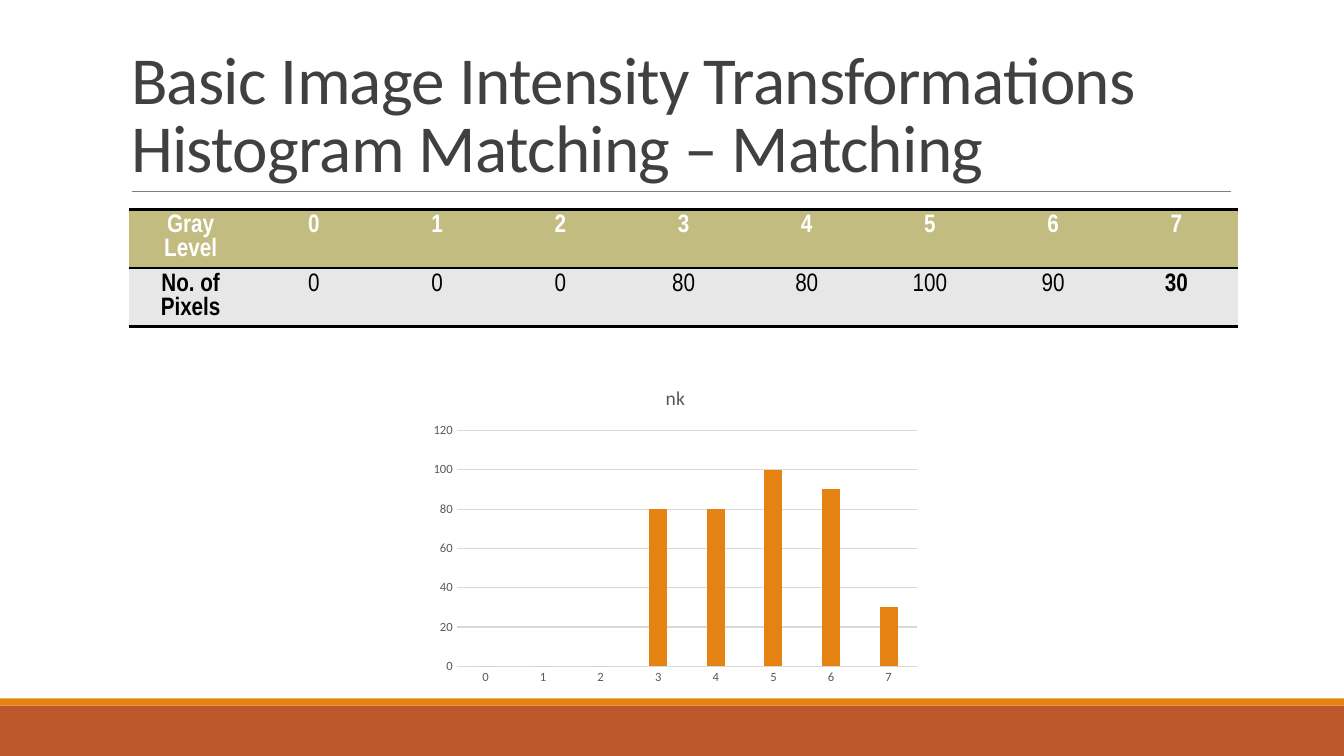
from lxml import etree
from pptx import Presentation
from pptx.chart.data import CategoryChartData
from pptx.dml.color import RGBColor
from pptx.enum.chart import XL_CHART_TYPE, XL_TICK_MARK
from pptx.enum.shapes import MSO_CONNECTOR, MSO_SHAPE
from pptx.enum.text import MSO_ANCHOR, MSO_AUTO_SIZE, PP_ALIGN
from pptx.oxml import parse_xml
from pptx.oxml.ns import nsdecls, qn
from pptx.util import Inches, Pt

COLUMN = XL_CHART_TYPE.COLUMN_CLUSTERED
NO_TICK = XL_TICK_MARK.NONE
LEFT, CENTER = PP_ALIGN.LEFT, PP_ALIGN.CENTER

TITLE = ["Basic Image Intensity Transformations",
         "Histogram Matching – Matching"]
LEVELS = list(range(8))
PIXELS = [0, 0, 0, 80, 80, 100, 90, 30]
ROWS = [["Gray Level"] + LEVELS, ["No. of Pixels"] + PIXELS]
BOLD = [range(9), (0, 8)]

COLORS = {"rust": "BD582C", "orange": "E48312", "rule": "808080",
          "title": "404040", "olive": "C2BC80", "pale": "E7E7E7",
          "white": "FFFFFF", "black": "000000", "label": "595959",
          "grid": "D9D9D9"}
WIDTH, HEIGHT = 13.33, 7.5
COL, ROW = 11 / 9, 0.58
BANDS = [(7, 0.5, "rust"), (6.93, 0.07, "orange")]


def rgb(name):
    return RGBColor.from_string(COLORS[name])


def style(font, color, **values):
    font.color.rgb = rgb(color)
    for key, value in values.items():
        setattr(font, key, value)


def box(*sizes):
    return [Inches(size) for size in sizes]


def edge(cell):
    """Rule a cell above and below, with open sides."""
    props = cell._tc.get_or_add_tcPr()
    ruled = f'<a:solidFill><a:srgbClr val="{COLORS["black"]}"/></a:solidFill>'
    for spot, side in enumerate("LRTB"):
        paint = ruled if side in "TB" else "<a:noFill/>"
        props.insert(spot, parse_xml(
            f'<a:ln{side} {nsdecls("a")} w="{Pt(2)}">{paint}</a:ln{side}>'))


deck = Presentation()
deck.slide_width, deck.slide_height = box(WIDTH, HEIGHT)
slide = deck.slides.add_slide(deck.slide_layouts[5])
shapes = slide.shapes

# Title
title = shapes.title
title.left, title.top, title.width, title.height = box(1.2, 0.31, 11, 1.59)
frame = title.text_frame
frame.text = "\v".join(TITLE)
frame.auto_size = MSO_AUTO_SIZE.NONE
frame.vertical_anchor = MSO_ANCHOR.BOTTOM
para = frame.paragraphs[0]
para.alignment, para.line_spacing = LEFT, 0.85
for run in para.runs:
    style(run.font, "title", name="Calibri", size=Pt(48))
    run._r.get_or_add_rPr().set("spc", "-50")

# Footer bands and title rule
for top, high, color in BANDS:
    band = shapes.add_shape(MSO_SHAPE.RECTANGLE, *box(0, top, WIDTH, high))
    band.shadow.inherit = False
    band.fill.solid()
    band.fill.fore_color.rgb = rgb(color)
    band.line.fill.background()
rule = shapes.add_connector(MSO_CONNECTOR.STRAIGHT, *box(1.31, 1.9, 12.21, 1.9))
rule.line.color.rgb = rgb("rule")
rule.line.width = Pt(0.5)
etree.SubElement(rule._element.spPr, qn("a:effectLst"))

# Table
table = shapes.add_table(2, 9, *box(1.28, 2.08, COL * 9, ROW * 2)).table
for col in table.columns:
    col.width = Inches(COL)
looks = [("olive", "white"), ("pale", "black")]
for r, (row, (fill, ink)) in enumerate(zip(ROWS, looks)):
    table.rows[r].height = Inches(ROW)
    for c, text in enumerate(row):
        cell = table.cell(r, c)
        cell.text = str(text)
        cell.fill.solid()
        cell.fill.fore_color.rgb = rgb(fill)
        edge(cell)
        para = cell.text_frame.paragraphs[0]
        para.alignment = CENTER
        style(para.runs[0].font, ink, name="Arial Narrow", size=Pt(18),
              bold=c in BOLD[r])

# Chart
data = CategoryChartData()
data.categories = [str(level) for level in LEVELS]
data.add_series("nk", PIXELS)
chart = shapes.add_chart(COLUMN, *box(4.2, 3.66, 5, 3.2), data).chart
style(chart.font, "black", name="Calibri", size=Pt(10))
chart.has_legend = False
chart.has_title = True
chart.chart_title.include_in_layout = False
head = chart.chart_title.text_frame
head.text = "nk"
style(head.paragraphs[0].runs[0].font, "label", name="Calibri", size=Pt(14),
      bold=False)
plot = chart.plots[0]
plot.gap_width, plot.overlap, plot.vary_by_categories = 219, -27, False
bars = plot.series[0].format.fill
bars.solid()
bars.fore_color.rgb = rgb("orange")

cats, vals = chart.category_axis, chart.value_axis
for axis in (cats, vals):
    axis.major_tick_mark = axis.minor_tick_mark = NO_TICK
    style(axis.tick_labels.font, "label", name="Calibri", size=Pt(9))
vals.minimum_scale, vals.maximum_scale, vals.major_unit = 0, 120, 20
vals.has_major_gridlines = True
vals.format.line.fill.background()
for line in (cats.format.line, vals.major_gridlines.format.line):
    line.color.rgb = rgb("grid")
    line.width = Pt(0.75)

deck.save("out.pptx")
